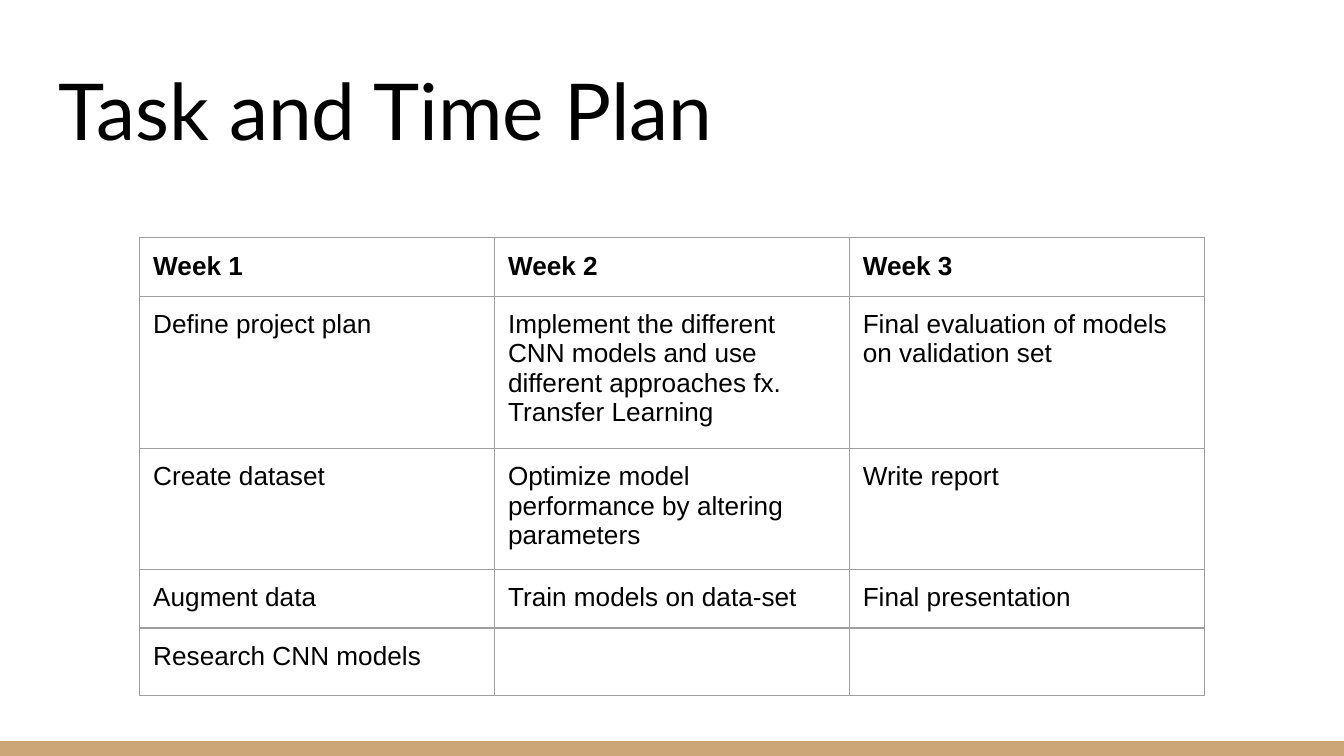
import pptx
import pptx.util
import pptx.dml.color
import pptx.enum.shapes
import pptx.enum.text
import pptx.oxml
import pptx.oxml.ns
import lxml.etree

Inches = pptx.util.Inches
Pt = pptx.util.Pt

TITLE = "Task and Time Plan"
ROWS = [
    ("Week 1", "Week 2", "Week 3"),
    (
        "Define project plan",
        "Implement the different CNN models and use different approaches fx. Transfer Learning",
        "Final evaluation of models on validation set",
    ),
    ("Create dataset", "Optimize model performance by altering parameters", "Write report"),
    ("Augment data", "Train models on data-set", "Final presentation"),
    ("Research CNN models", "", ""),
]
WIDTH = 2.64
HEIGHT = 0.42
PAD = Inches(0.1)


def color(code):
    return pptx.dml.color.RGBColor.from_string(code)


def style(frame, face, size, bold=False):
    for para in frame.paragraphs:
        for run in para.runs:
            run.font.name = face
            run.font.size = Pt(size)
            run.font.bold = bold
            run.font.color.rgb = color("000000")


def pad(box):
    box.margin_left = box.margin_right = PAD
    box.margin_top = box.margin_bottom = PAD


def border(cell, code, width):
    props = cell._tc.get_or_add_tcPr()
    for pos, side in enumerate(("lnL", "lnR", "lnT", "lnB")):
        line = lxml.etree.Element(pptx.oxml.ns.qn("a:" + side), w=str(Pt(width)))
        fill = lxml.etree.SubElement(line, pptx.oxml.ns.qn("a:solidFill"))
        lxml.etree.SubElement(fill, pptx.oxml.ns.qn("a:srgbClr"), val=code)
        props.insert(pos, line)


def main():
    deck = pptx.Presentation()
    deck.slide_width = Inches(10)
    deck.slide_height = deck.slide_width * 9 // 16
    slide = deck.slides.add_slide(deck.slide_layouts[6])
    shapes = slide.shapes

    thick = Inches(0.11)
    bar = shapes.add_shape(
        pptx.enum.shapes.MSO_SHAPE.RECTANGLE,
        0, deck.slide_height - thick, deck.slide_width, thick,
    )
    bar.shadow.inherit = False
    bar.fill.solid()
    bar.fill.fore_color.rgb = color("CCA677")
    bar.line.fill.background()

    title = shapes.add_textbox(Inches(0.34), Inches(0.35), Inches(9.32), Inches(0.91))
    frame = title.text_frame
    frame.word_wrap = True
    frame.vertical_anchor = pptx.enum.text.MSO_ANCHOR.BOTTOM
    pad(frame)
    frame.text = TITLE
    style(frame, "Lato", 42)

    count = len(ROWS[0])
    plan = shapes.add_table(
        len(ROWS), count, Inches(1.04), Inches(1.77),
        Inches(WIDTH * count), Inches(HEIGHT * len(ROWS)),
    ).table
    plan.horz_banding = False
    for col in plan.columns:
        col.width = Inches(WIDTH)
    for r, texts in enumerate(ROWS):
        plan.rows[r].height = Inches(HEIGHT)
        for c, text in enumerate(texts):
            cell = plan.cell(r, c)
            cell.fill.background()
            border(cell, "9E9E9E", 0.75)
            pad(cell)
            if text:
                cell.text_frame.text = text
                style(cell.text_frame, "Arial", 14, r == 0)

    deck.save("out.pptx")


if __name__ == "__main__":
    main()
